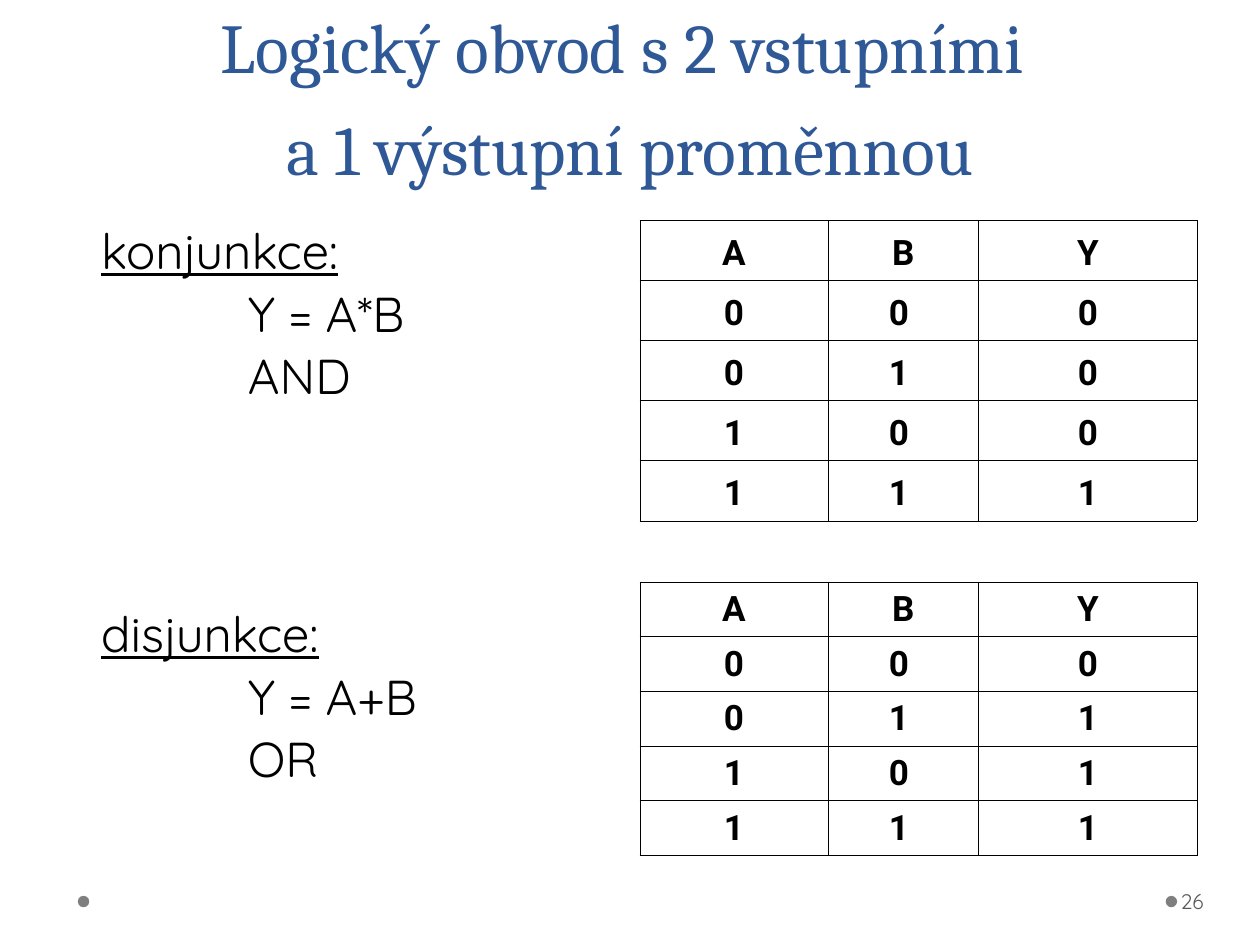
from dataclasses import dataclass

from lxml import etree
from pptx import Presentation
from pptx.dml.color import RGBColor
from pptx.enum.shapes import MSO_SHAPE
from pptx.enum.text import MSO_ANCHOR, MSO_AUTO_SIZE, PP_ALIGN
from pptx.oxml.ns import qn
from pptx.util import Cm, Pt

CENTER = PP_ALIGN.CENTER
BOTTOM, MIDDLE = MSO_ANCHOR.BOTTOM, MSO_ANCHOR.MIDDLE
NO_AUTOFIT = MSO_AUTO_SIZE.NONE
ELLIPSE = MSO_SHAPE.OVAL
TITLE_ONLY = 5


@dataclass(frozen=True)
class Theme:
    title_color: RGBColor = RGBColor(0x2F, 0x58, 0x97)
    ink: RGBColor = RGBColor(0, 0, 0)
    number_color: RGBColor = RGBColor(0x59, 0x59, 0x59)
    dot_color: RGBColor = RGBColor(0x7F, 0x7F, 0x7F)
    title_font: str = "Cambria"
    body_font: str = "Quicksand"
    table_font: str = "Roboto"
    title_size: Pt = Pt(40)
    body_size: Pt = Pt(28)
    table_size: Pt = Pt(20)
    number_size: Pt = Pt(12)
    border_width: Pt = Pt(0.45)


@dataclass(frozen=True)
class Box:
    left: float
    top: float
    width: float
    height: float

    def lengths(self) -> tuple:
        return Cm(self.left), Cm(self.top), Cm(self.width), Cm(self.height)


@dataclass(frozen=True)
class Line:
    text: str
    indent: float
    space_before: float
    underline: bool = False


@dataclass(frozen=True)
class TruthTable:
    top: float
    row_height: float
    outputs: str


THEME = Theme()
TITLE_BOX = Box(1.27, 0, 22.86, 3.94)
BODY_BOX = Box(1.27, 4.45, 11.23, 12.57)
NUMBER_BOX = Box(23.72, 17.65, 1.55, 1.02)
DOT_LEFTS, DOT_TOP, DOT_SIZE = (23.5, 1.57), 18.06, 0.23
TABLE_LEFT, COLUMN_WIDTHS = 12.9, (3.79, 3.04, 4.4)
INPUTS = ("00", "01", "10", "11")

NAME_INDENT, FORMULA_INDENT = 0.52, 3.48
LINE_GAP, SECTION_GAP = 5.6, 117
LINES = (
    Line("konjunkce:", NAME_INDENT, 0, True),
    Line("Y = A*B", FORMULA_INDENT, LINE_GAP),
    Line("AND", FORMULA_INDENT, LINE_GAP),
    Line("disjunkce:", NAME_INDENT, SECTION_GAP, True),
    Line("Y = A+B", FORMULA_INDENT, LINE_GAP),
    Line("OR", FORMULA_INDENT, LINE_GAP),
)
TABLES = (TruthTable(4.45, 1.21, "0001"), TruthTable(11.73, 1.1, "0111"))


def set_format(target, values: dict) -> None:
    for name, value in values.items():
        setattr(target, name, value)


def set_font(paragraph, color: RGBColor, **values) -> None:
    set_format(paragraph.font, values)
    paragraph.font.color.rgb = color


def place(shape, box: Box) -> None:
    set_format(shape, dict(zip(("left", "top", "width", "height"), box.lengths())))


def add_title(slide) -> None:
    title = slide.shapes.title
    place(title, TITLE_BOX)
    frame = title.text_frame
    frame.text = "Logický obvod s 2 vstupními \va 1 výstupní proměnnou"
    set_format(frame, {"vertical_anchor": BOTTOM, "auto_size": NO_AUTOFIT, "word_wrap": True})
    paragraph = frame.paragraphs[0]
    set_format(paragraph, {"alignment": CENTER, "line_spacing": Pt(58)})
    set_font(paragraph, THEME.title_color, name=THEME.title_font, size=THEME.title_size)


def add_functions(slide) -> None:
    frame = slide.shapes.add_textbox(*BODY_BOX.lengths()).text_frame
    frame.word_wrap = True
    for index, line in enumerate(LINES):
        paragraph = frame.add_paragraph() if index else frame.paragraphs[0]
        paragraph.text = line.text
        paragraph._p.get_or_add_pPr().set("marL", str(Cm(line.indent)))
        set_format(paragraph, {"line_spacing": 0.9, "space_before": Pt(line.space_before)})
        set_font(paragraph, THEME.ink, name=THEME.body_font,
                 size=THEME.body_size, underline=line.underline)


def add_borders(cell) -> None:
    properties = cell._tc.get_or_add_tcPr()
    for position, side in enumerate(("a:lnL", "a:lnR", "a:lnT", "a:lnB")):
        border = etree.Element(qn(side), w=str(int(THEME.border_width)))
        fill = etree.SubElement(border, qn("a:solidFill"))
        etree.SubElement(fill, qn("a:srgbClr"), val=str(THEME.ink))
        properties.insert(position, border)


def add_truth_table(slide, truth: TruthTable) -> None:
    # The middle column's digits carry a trailing no-break space
    rows = ["ABY"] + [(a, b + " ", y) for (a, b), y in zip(INPUTS, truth.outputs)]
    box = Box(TABLE_LEFT, truth.top, sum(COLUMN_WIDTHS), truth.row_height * len(rows))
    table = slide.shapes.add_table(len(rows), len(COLUMN_WIDTHS), *box.lengths()).table
    set_format(table, {"first_row": False, "horz_banding": False})
    for column, width in zip(table.columns, COLUMN_WIDTHS):
        column.width = Cm(width)
    for row, texts in zip(table.rows, rows):
        row.height = Cm(truth.row_height)
        for cell, text in zip(row.cells, texts):
            cell.text = text
            cell.vertical_anchor = BOTTOM
            cell.fill.background()
            add_borders(cell)
            paragraph = cell.text_frame.paragraphs[0]
            paragraph.alignment = CENTER
            set_font(paragraph, THEME.ink, name=THEME.table_font,
                     size=THEME.table_size, bold=True)


def add_footer(slide) -> None:
    for left in DOT_LEFTS:
        box = Box(left, DOT_TOP, DOT_SIZE, DOT_SIZE)
        dot = slide.shapes.add_shape(ELLIPSE, *box.lengths())
        dot.shadow.inherit = False
        dot.fill.solid()
        dot.fill.fore_color.rgb = THEME.dot_color
        dot.line.fill.background()
    frame = slide.shapes.add_textbox(*NUMBER_BOX.lengths()).text_frame
    frame.text = "26"
    set_format(frame, {"word_wrap": True, "vertical_anchor": MIDDLE,
                       "margin_left": Cm(0.08), "margin_right": Cm(0.13)})
    set_font(frame.paragraphs[0], THEME.number_color, name=THEME.body_font,
             size=THEME.number_size)


def main() -> None:
    presentation = Presentation()
    set_format(presentation, {"slide_width": Cm(25.4), "slide_height": Cm(19.05)})
    slide = presentation.slides.add_slide(presentation.slide_layouts[TITLE_ONLY])
    add_title(slide)
    add_functions(slide)
    for truth in TABLES:
        add_truth_table(slide, truth)
    add_footer(slide)
    presentation.save("out.pptx")


if __name__ == "__main__":
    main()
